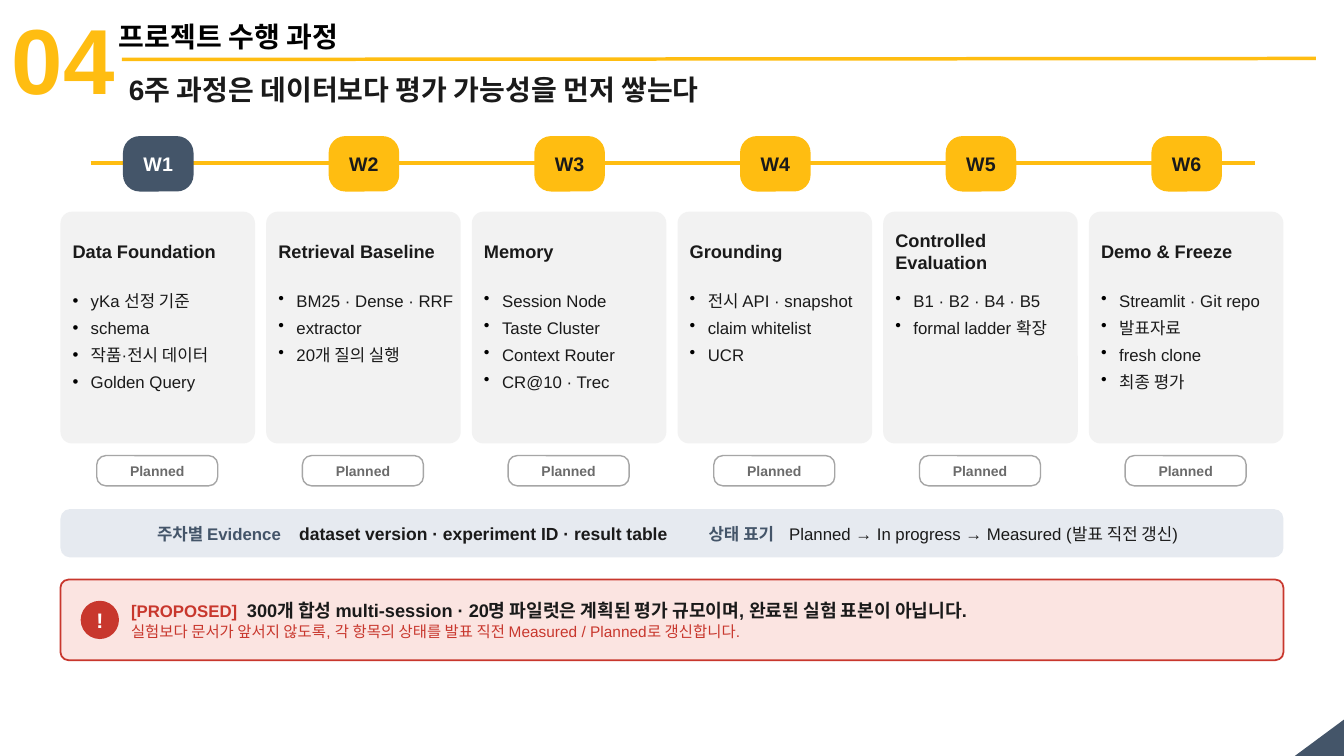
"""Build the six-week project process slide."""
from dataclasses import dataclass

from lxml import etree
from pptx import Presentation
from pptx.dml.color import RGBColor
from pptx.enum.shapes import MSO_CONNECTOR, MSO_SHAPE
from pptx.enum.text import MSO_ANCHOR, MSO_AUTO_SIZE, PP_ALIGN
from pptx.oxml.ns import qn
from pptx.util import Inches, Pt

ROUND, OVAL, CORNER = MSO_SHAPE.ROUNDED_RECTANGLE, MSO_SHAPE.OVAL, MSO_SHAPE.RIGHT_TRIANGLE
STRAIGHT = MSO_CONNECTOR.STRAIGHT
TOP, MIDDLE = MSO_ANCHOR.TOP, MSO_ANCHOR.MIDDLE
LEFT, CENTER = PP_ALIGN.LEFT, PP_ALIGN.CENTER
NO_FIT = MSO_AUTO_SIZE.NONE

COLORS = {
    "amber": "FFBD11", "navy": "445569", "black": "000000", "ink": "1A1A1A",
    "white": "FFFFFF", "card": "F2F2F2", "edge": "A6A6A6", "muted": "6B6B6B",
    "band": "E6EAF0", "red": "C8372D", "pink": "FBE4E1",
}
FONT = "Arial"
COL_X, COL_PITCH = 0.6, 2.04


@dataclass(frozen=True)
class Box:
    x: float
    y: float
    w: float
    h: float


@dataclass(frozen=True)
class Run:
    text: str
    size: float
    color: str = "ink"
    bold: bool = True


@dataclass(frozen=True)
class Week:
    title: str
    items: tuple[str, ...]
    fill: str = "amber"
    label: str = "ink"


WEEKS = (
    Week("Data Foundation", ("yKa 선정 기준", "schema", "작품·전시 데이터", "Golden Query"),
         "navy", "white"),
    Week("Retrieval Baseline", ("BM25 · Dense · RRF", "extractor", "20개 질의 실행")),
    Week("Memory", ("Session Node", "Taste Cluster", "Context Router", "CR@10 · Trec")),
    Week("Grounding", ("전시 API · snapshot", "claim whitelist", "UCR")),
    Week("Controlled Evaluation", ("B1 · B2 · B4 · B5", "formal ladder 확장")),
    Week("Demo & Freeze", ("Streamlit · Git repo", "발표자료", "fresh clone", "최종 평가")),
)


def rgb(name: str) -> RGBColor:
    """Return a named colour."""
    return RGBColor.from_string(COLORS[name])


def place(sp, box: Box) -> None:
    """Move and size a shape."""
    sp.left, sp.top = Inches(box.x), Inches(box.y)
    sp.width, sp.height = Inches(box.w), Inches(box.h)


def write(sp, paragraphs, align=LEFT, anchor=MIDDLE, inset=(0.0, 0.03)) -> None:
    """Fill a shape with paragraphs of runs."""
    tf = sp.text_frame
    tf.word_wrap, tf.auto_size, tf.vertical_anchor = True, NO_FIT, anchor
    tf.margin_left = tf.margin_right = Inches(inset[0])
    tf.margin_top = tf.margin_bottom = Inches(inset[1])
    for i, runs in enumerate(paragraphs):
        p = tf.add_paragraph() if i else tf.paragraphs[0]
        p.alignment, p.space_before = align, Pt(0)
        for run in runs:
            r = p.add_run()
            r.text = run.text
            r.font.name, r.font.size, r.font.bold = FONT, Pt(run.size), run.bold
            r.font.color.rgb = rgb(run.color)


def add_text(s, box: Box, paragraphs, **layout):
    """Add a text box."""
    sp = s.shapes.add_textbox(0, 0, 0, 0)
    place(sp, box)
    write(sp, paragraphs, **layout)
    return sp


def add_block(s, box: Box, fill: str, kind=ROUND, radius=None, edge=None, weight=1.0):
    """Add a filled preset shape."""
    sp = s.shapes.add_shape(kind, 0, 0, 0, 0)
    place(sp, box)
    sp.shadow.inherit = False
    sp.fill.solid()
    sp.fill.fore_color.rgb = rgb(fill)
    if radius is not None:
        sp.adjustments[0] = radius
    if edge:
        sp.line.color.rgb, sp.line.width = rgb(edge), Pt(weight)
    else:
        sp.line.fill.background()
    return sp


def add_line(s, x1: float, y1: float, x2: float, y2: float, weight: float) -> None:
    """Add an amber line."""
    ln = s.shapes.add_connector(STRAIGHT, Inches(x1), Inches(y1), Inches(x2), Inches(y2))
    ln.line.color.rgb, ln.line.width = rgb("amber"), Pt(weight)
    etree.SubElement(ln.element.spPr, qn("a:effectLst"))


def add_bullets(sp) -> None:
    """Turn the paragraphs of a shape into a bulleted list."""
    for p in sp.text_frame.paragraphs:
        p.space_after = Pt(5)
        pPr = p._p.get_or_add_pPr()
        pPr.set("marL", str(Inches(0.18)))
        pPr.set("indent", str(Inches(-0.18)))
        clr = etree.SubElement(pPr, qn("a:buClr"))
        etree.SubElement(clr, qn("a:srgbClr"), val=COLORS["black"])
        etree.SubElement(pPr, qn("a:buChar"), char="•")


def add_tabs(p, stops) -> None:
    """Give a paragraph left tab stops."""
    tabs = etree.SubElement(p._p.get_or_add_pPr(), qn("a:tabLst"))
    for stop in stops:
        etree.SubElement(tabs, qn("a:tab"), pos=str(Inches(stop)), algn="l")


def draw_header(s) -> None:
    """Draw the section number, title, rule and key message."""
    add_block(s, Box(12.9, 7.07, 0.37, 0.5), "navy", CORNER).rotation = 270
    head = {"anchor": TOP, "inset": (0.1, 0.05)}
    add_text(s, Box(0.02, -0.03, 1.27, 1.21), [[Run("04", 66, "amber")]], **head)
    place(s.shapes.title, Box(1.08, 0.14, 7, 0.44))
    write(s.shapes.title, [[Run("프로젝트 수행 과정", 20, "black")]], **head)
    add_line(s, 1.21, 0.59, 13.05, 0.58, 2.5)
    message = Run("6주 과정은 데이터보다 평가 가능성을 먼저 쌓는다", 20)
    add_text(s, Box(1.18, 0.67, 11.9, 0.34), [[message]], **head)


def draw_week(s, number: int, week: Week) -> None:
    """Draw one column of the timeline."""
    x = COL_X + (number - 1) * COL_PITCH
    sp = add_block(s, Box(x + 0.62, 1.35, 0.7, 0.55), week.fill, radius=0.3)
    write(sp, [[Run(f"W{number}", 14, week.label)]], align=CENTER)
    add_block(s, Box(x, 2.1, 1.93, 2.3), "card", radius=0.06)
    add_text(s, Box(x + 0.1, 2.18, 1.75, 0.62), [[Run(week.title, 13)]], inset=(0.02, 0.03))
    items = [[Run(item, 12, bold=False)] for item in week.items]
    box = Box(x + 0.1, 2.85, 1.78, 1.5)
    if number == 1:
        sp = s.placeholders[1]
        s.shapes.element.append(sp.element)
        place(sp, box)
        write(sp, items, anchor=TOP, inset=(0.02, 0.03))
    else:
        sp = add_text(s, box, items, anchor=TOP, inset=(0.02, 0.03))
    add_bullets(sp)
    sp = add_block(s, Box(x + 0.36, 4.52, 1.2, 0.3), "white", radius=0.3, edge="edge")
    write(sp, [[Run("Planned", 10, "muted")]], align=CENTER, inset=(0.04, 0.03))


def draw_footer(s) -> None:
    """Draw the evidence band and the warning."""
    sp = add_block(s, Box(COL_X, 5.05, 12.13, 0.48), "band", radius=0.2)
    write(sp, [[Run("주차별 Evidence\t", 12, "navy"),
                Run("dataset version · experiment ID · result table\t", 12.5),
                Run("상태 표기\t", 12, "navy"),
                Run("Planned → In progress → Measured (발표 직전 갱신)", 12, bold=False)]],
          inset=(0.93, 0.03))
    add_tabs(sp.text_frame.paragraphs[0], (1.41, 5.47, 6.27))
    add_block(s, Box(COL_X, 5.75, 12.13, 0.8), "pink", radius=0.1, edge="red", weight=1.25)
    sp = add_block(s, Box(0.8, 5.96, 0.38, 0.38), "red", OVAL)
    write(sp, [[Run("!", 15, "white")]], align=CENTER)
    sp = add_text(s, Box(1.3, 5.79, 11.3, 0.72), [
        [Run("[PROPOSED]\t", 12, "red"),
         Run("300개 합성 multi-session · 20명 파일럿은 계획된 평가 규모이며, "
             "완료된 실험 표본이 아닙니다.", 13)],
        [Run("실험보다 문서가 앞서지 않도록, 각 항목의 상태를 발표 직전 "
             "Measured / Planned로 갱신합니다.", 11, "red", False)],
    ])
    add_tabs(sp.text_frame.paragraphs[0], (1.15,))


def main() -> None:
    """Build and save the slide."""
    prs = Presentation()
    prs.slide_width, prs.slide_height = Inches(13.33), Inches(7.5)
    s = prs.slides.add_slide(prs.slide_layouts[1])
    draw_header(s)
    add_line(s, 0.9, 1.62, 12.45, 1.62, 3)
    for number, week in enumerate(WEEKS, 1):
        draw_week(s, number, week)
    draw_footer(s)
    prs.save("out.pptx")


if __name__ == "__main__":
    main()
